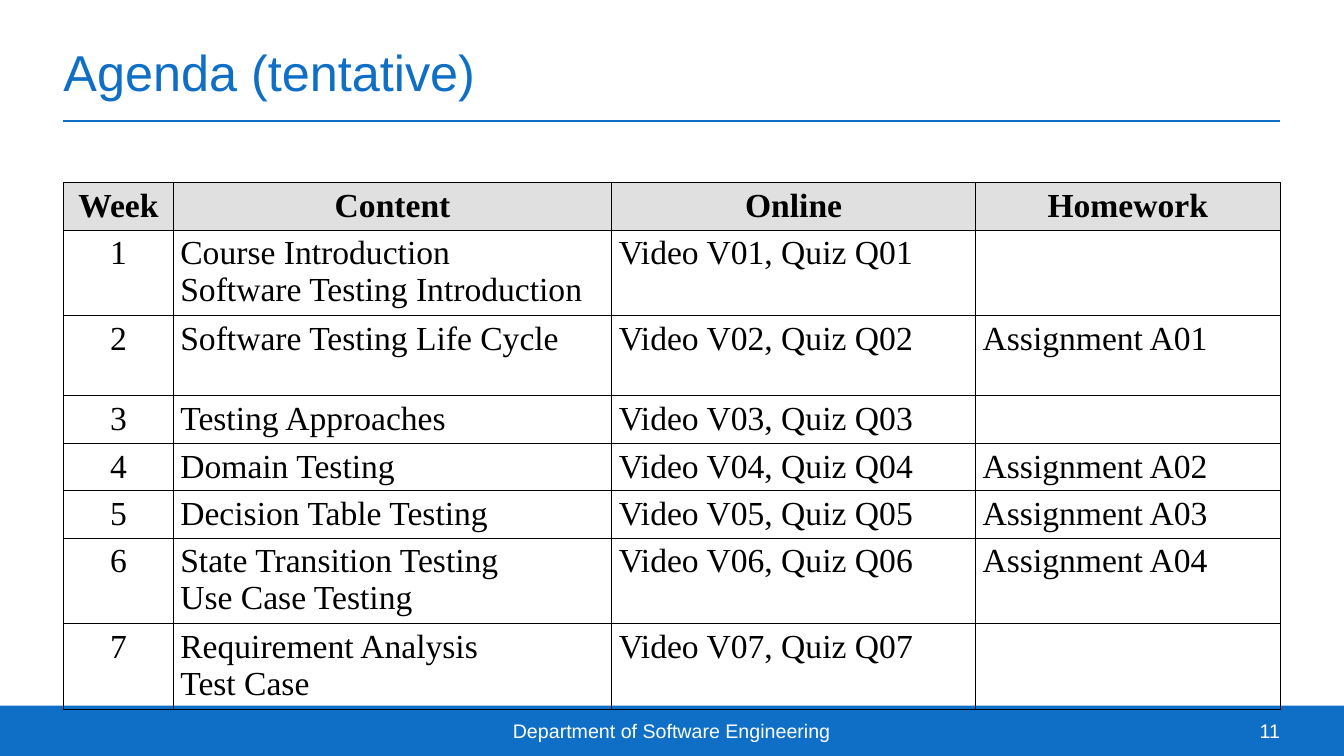
from typing import NamedTuple

from lxml.etree import SubElement
from pptx import Presentation
from pptx.dml.color import RGBColor
from pptx.enum.shapes import MSO_CONNECTOR as CONN, MSO_SHAPE as SHAPE
from pptx.enum.text import MSO_ANCHOR as ANCHOR, PP_ALIGN as ALIGN
from pptx.oxml.ns import qn
from pptx.util import Pt

BLUE, WHITE, BLACK, GREY = "0F6FC6", "FFFFFF", "000000", "E0E0E0"
SLIDE_W, SLIDE_H = 960.12, 540
LEFT, WIDTH = 45.36, 869.04
FOOTER_TOP, FOOTER_H = 504, 36
ONE_LINE, TWO_LINES, SPACED_LINE = 33.9, 60.5, 57.2


class Week(NamedTuple):
    topics: str
    online: str
    homework: str
    height: float


class Column(NamedTuple):
    heading: str
    width: float
    align: ALIGN


class FooterText(NamedTuple):
    text: str
    left: float
    width: float
    align: ALIGN


COLUMNS = [
    Column("Week", 78.48, ALIGN.CENTER),
    Column("Content", 313.2, ALIGN.JUSTIFY),
    Column("Online", 259.92, ALIGN.LEFT),
    Column("Homework", 217.44, ALIGN.JUSTIFY),
]
WEEKS = [
    Week("Course Introduction\nSoftware Testing Introduction", "Video V01, Quiz Q01", "",
         TWO_LINES),
    Week("Software Testing Life Cycle", "Video V02, Quiz Q02", "Assignment A01", SPACED_LINE),
    Week("Testing Approaches", "Video V03, Quiz Q03", "", ONE_LINE),
    Week("Domain Testing", "Video V04, Quiz Q04", "Assignment A02", ONE_LINE),
    Week("Decision Table Testing", "Video V05, Quiz Q05", "Assignment A03", ONE_LINE),
    Week("State Transition Testing\nUse Case Testing", "Video V06, Quiz Q06",
         "Assignment A04", TWO_LINES),
    Week("Requirement Analysis\nTest Case", "Video V07, Quiz Q07", "", TWO_LINES),
]
FOOTER_TEXTS = [
    FooterText("Department of Software Engineering", 319.68, 320.4, ALIGN.CENTER),
    FooterText("11", 864, 50.4, ALIGN.RIGHT),
]


def rgb(value: str) -> RGBColor:
    return RGBColor.from_string(value)


def write(tf, text: str, size: float, font: str, color: str, align: ALIGN,
          bold: bool = False) -> None:
    tf.text = text
    for p in tf.paragraphs:
        p.alignment = align
        for r in p.runs:
            r.font.size, r.font.name, r.font.bold = Pt(size), font, bold
            r.font.color.rgb = rgb(color)


def frame_text(tf) -> None:
    """Wrap the text, centre it vertically and drop the margins."""
    tf.word_wrap = True
    tf.vertical_anchor = ANCHOR.MIDDLE
    tf.margin_left = tf.margin_top = tf.margin_right = tf.margin_bottom = 0


def add_title(s, text: str) -> None:
    title = s.shapes.title
    title.left, title.top = Pt(LEFT), Pt(16.56)
    title.width, title.height = Pt(WIDTH), Pt(69.12)
    frame_text(title.text_frame)
    write(title.text_frame, text, 36, "Arial", BLUE, ALIGN.LEFT)
    rule = s.shapes.add_connector(CONN.STRAIGHT, Pt(LEFT), Pt(86.4), Pt(LEFT + WIDTH), Pt(86.4))
    rule.line.color.rgb = rgb(BLUE)
    rule.line.width = Pt(1)
    SubElement(rule._element.spPr, qn("a:effectLst"))


def add_footer(s) -> None:
    bar = s.shapes.add_shape(SHAPE.RECTANGLE, 0, Pt(FOOTER_TOP), Pt(SLIDE_W), Pt(FOOTER_H))
    bar.shadow.inherit = False
    bar.fill.solid()
    bar.fill.fore_color.rgb = rgb(BLUE)
    bar.line.fill.background()
    for item in FOOTER_TEXTS:
        box = s.shapes.add_textbox(Pt(item.left), Pt(FOOTER_TOP), Pt(item.width), Pt(FOOTER_H))
        frame_text(box.text_frame)
        write(box.text_frame, item.text, 14, "Arial", WHITE, item.align)


def add_borders(cell) -> None:
    tc_pr = cell._tc.get_or_add_tcPr()
    for side in ("a:lnL", "a:lnR", "a:lnT", "a:lnB"):
        ln = SubElement(tc_pr, qn(side), w=str(Pt(0.45)))
        SubElement(SubElement(ln, qn("a:solidFill")), qn("a:srgbClr"), val=BLACK)


def fill_cell(cell, text: str, align: ALIGN, header: bool) -> None:
    cell.margin_left = cell.margin_right = Pt(5.04)
    cell.margin_top, cell.margin_bottom = Pt(3.6), 0
    add_borders(cell)
    if header:
        cell.fill.solid()
        cell.fill.fore_color.rgb = rgb(GREY)
    else:
        cell.fill.background()
    write(cell.text_frame, text, 24, "Times New Roman", BLACK, align, header)


def add_agenda(s) -> None:
    heights = [ONE_LINE] + [week.height for week in WEEKS]
    rows = [[column.heading for column in COLUMNS]]
    rows += [[str(number), week.topics, week.online, week.homework]
             for number, week in enumerate(WEEKS, 1)]
    table = s.shapes.add_table(len(rows), len(COLUMNS), Pt(LEFT), Pt(130.32),
                               Pt(WIDTH), Pt(sum(heights))).table
    table.first_row = table.horz_banding = False
    for i, column in enumerate(COLUMNS):
        table.columns[i].width = Pt(column.width)
    for i, texts in enumerate(rows):
        table.rows[i].height = Pt(heights[i])
        for j, text in enumerate(texts):
            align = COLUMNS[j].align if i else ALIGN.CENTER
            fill_cell(table.cell(i, j), text, align, header=i == 0)


def main() -> None:
    prs = Presentation()
    prs.slide_width, prs.slide_height = Pt(SLIDE_W), Pt(SLIDE_H)
    s = prs.slides.add_slide(prs.slide_layouts[5])
    add_title(s, "Agenda (tentative)")
    add_footer(s)
    add_agenda(s)
    prs.save("out.pptx")


if __name__ == "__main__":
    main()
